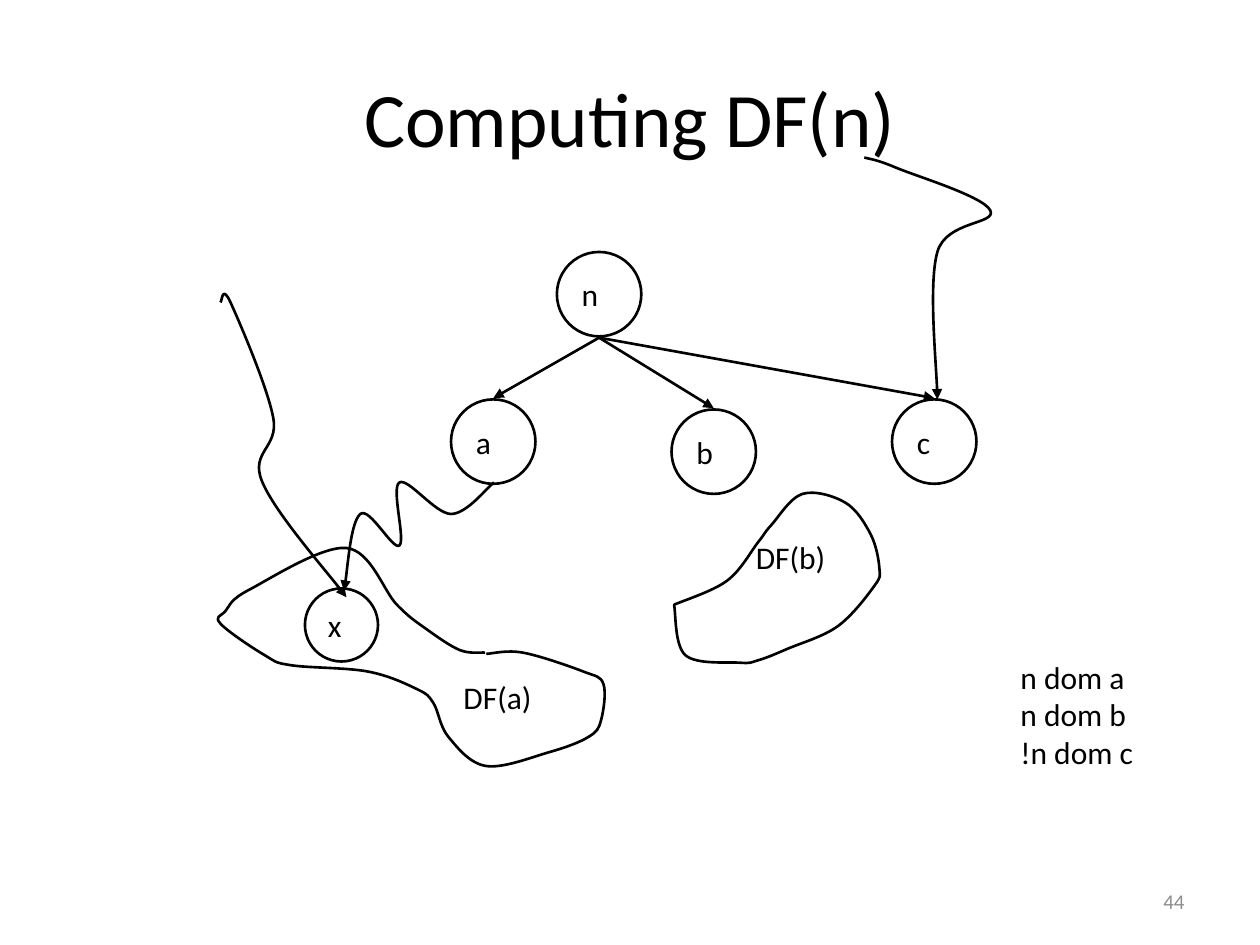
from pptx import Presentation
from pptx.dml.color import RGBColor
from pptx.enum.shapes import MSO_CONNECTOR, MSO_SHAPE
from pptx.enum.text import MSO_ANCHOR, PP_ALIGN
from pptx.oxml.ns import qn
from pptx.oxml.xmlchemy import OxmlElement
from pptx.util import Inches, Pt

OVAL = MSO_SHAPE.OVAL
STRAIGHT = MSO_CONNECTOR.STRAIGHT
MIDDLE, TOP = MSO_ANCHOR.MIDDLE, MSO_ANCHOR.TOP
LEFT, CENTER, RIGHT = PP_ALIGN.LEFT, PP_ALIGN.CENTER, PP_ALIGN.RIGHT
TITLE_ONLY = 5
FONT, BLACK, GRAY = "Calibri", "000000", "8C8C8C"
NODE_SIZE, EDGE_GAP = 0.67, 0.01


# Formats
def color(hex_string):
    return RGBColor.from_string(hex_string)


def write_text(shape, text, size=18, hex_string=BLACK, align=LEFT, anchor=MIDDLE, wrap=False):
    frame = shape.text_frame
    frame.text = text
    frame.word_wrap = wrap
    frame.vertical_anchor = anchor
    for paragraph in frame.paragraphs:
        paragraph.alignment = align
        font = paragraph.font
        font.name, font.size = FONT, Pt(size)
        font.color.rgb = color(hex_string)


def set_line(shape, arrow=False):
    shape.line.color.rgb = color(BLACK)
    shape.line.width = Pt(1.5)
    if arrow:
        tail = OxmlElement("a:tailEnd")
        tail.set("type", "triangle")
        shape.line._get_or_add_ln().append(tail)


def set_outline(shape, arrow=False):
    shape.shadow.inherit = False
    shape.fill.background()
    set_line(shape, arrow)


# Parts
def add_text(slide, left, top, width, height, text, **text_format):
    box = slide.shapes.add_textbox(*map(Inches, (left, top, width, height)))
    write_text(box, text, **text_format)


def add_node(slide, left, top, label, size=NODE_SIZE):
    node = slide.shapes.add_shape(OVAL, *map(Inches, (left, top, size, size)))
    set_outline(node)
    write_text(node, label)


def add_arrow(slide, start, end):
    arrow = slide.shapes.add_connector(STRAIGHT, *map(Inches, start + end))
    set_line(arrow, arrow=True)
    arrow.element.spPr.append(OxmlElement("a:effectLst"))


def smooth(knots):
    """Yield two handles and an end knot for each piece of a curve through the knots.

    Each handle lies a sixth of the way along the line between a knot's neighbours.
    """
    padded = [knots[0], *knots, knots[-1]]
    for before, start, end, after in zip(padded, padded[1:], padded[2:], padded[3:]):
        yield tuple(s + (e - b) / 6 for b, s, e in zip(before, start, end))
        yield tuple(e - (a - s) / 6 for s, e, a in zip(start, end, after))
        yield end


def add_curve(slide, left, top, knots, arrow=False):
    """Draw a smooth curve through knots, given in inches from left and top."""
    knots = [(Inches(left + x), Inches(top + y)) for x, y in knots]
    builder = slide.shapes.build_freeform(*knots[0])
    builder.add_line_segments(list(smooth(knots)), close=False)
    curve = builder.convert_to_shape()
    # Join every three straight pieces into one Bezier piece
    pieces = list(curve.element.iter(qn("a:lnTo")))
    for group in zip(pieces[::3], pieces[1::3], pieces[2::3]):
        bezier = OxmlElement("a:cubicBezTo")
        group[0].addprevious(bezier)
        for piece in group:
            bezier.append(piece[0])
            piece.getparent().remove(piece)
    set_outline(curve, arrow)


# Regions
def add_heading(slide, left, top, width, height):
    title = slide.shapes.title
    title.left, title.top, title.width, title.height = map(Inches, (left, top, width, height))
    write_text(title, "Computing DF(n)", size=44, align=CENTER, wrap=True)


def add_dominator_tree(slide, left, top):
    # Parent, children, then the edges between them
    parent_left, radius = left + 0.84, NODE_SIZE / 2
    add_node(slide, parent_left, top, "n")
    edge_start = (parent_left + radius, top + NODE_SIZE + EDGE_GAP)
    child_offsets = {"a": (0, 1.17), "b": (1.75, 1.25), "c": (3.5, 1.17)}
    for label, (across, down) in child_offsets.items():
        add_node(slide, left + across, top + down, label)
        add_arrow(slide, edge_start, (left + across + radius, top + down - EDGE_GAP))


def add_paths_from_elsewhere(slide, left, top):
    # Each path bends twice on its way to a node
    path_to_c = [(5.11, 0), (5.36, 0.08), (6.11, 0.42), (5.69, 0.75), (5.69, 1.92)]
    path_to_x = [(0, 1.15), (0.08, 1.15), (0.42, 2.07), (0.33, 2.57), (1, 3.49)]
    path_a_to_x = [(2.17, 2.58), (1.83, 2.83), (1.42, 2.58), (1.42, 3.08),
                   (1.11, 2.83), (0.98, 3.44)]
    for knots in (path_to_c, path_to_x, path_a_to_x):
        add_curve(slide, left, top, knots, arrow=True)


def add_frontier_a(slide, left, top):
    # Outline, counterclockwise from the middle of the upper edge
    upper_edge = [(2.1, 0.83), (1.9, 0.81), (1.63, 0.64), (1.4, 0.45), (1, 0)]
    left_end = [(0.23, 0.33), (0.04, 0.5), (0, 0.6), (0.35, 0.85)]
    lower_edge = [(0.56, 0.93), (1.17, 0.98), (1.56, 1.12), (1.69, 1.23), (1.81, 1.5)]
    right_end = [(2.11, 1.73), (2.61, 1.62), (2.92, 1.5), (3.02, 1.37), (3.04, 1.08)]
    return_edge = [(2.88, 0.98), (2.4, 0.83), (2.11, 0.84)]
    add_curve(slide, left, top, upper_edge + left_end + lower_edge + right_end + return_edge)
    add_text(slide, left + 1.83, top + 0.98, 0.75, 0.4, "DF(a)", anchor=TOP)
    add_node(slide, left + 0.67, top + 0.32, "x", size=0.58)


def add_frontier_b(slide, left, top):
    # Outline, clockwise from the left corner and back to it
    corner = [(0.02, 0.88)]
    upper_edge = [(0.44, 0.69), (0.69, 0.38), (0.79, 0.25), (1.04, 0)]
    right_end = [(1.38, 0.07), (1.58, 0.32), (1.65, 0.59), (1.61, 0.73)]
    lower_edge = [(1.32, 1.05), (0.92, 1.23), (0.69, 1.32), (0.54, 1.34), (0.11, 1.28)]
    add_curve(slide, left, top, corner + upper_edge + right_end + lower_edge + corner)
    add_text(slide, left + 0.57, top + 0.3, 0.76, 0.4, "DF(b)", anchor=TOP)


presentation = Presentation()
presentation.slide_width, presentation.slide_height = Inches(10), Inches(7.5)
slide = presentation.slides.add_slide(presentation.slide_layouts[TITLE_ONLY])
add_heading(slide, 0.5, 0.3, 9, 1.25)
add_dominator_tree(slide, 3.58, 2)
add_frontier_a(slide, 1.75, 4.35)
add_frontier_b(slide, 5.33, 3.92)
add_paths_from_elsewhere(slide, 1.75, 1.25)
add_text(slide, 8, 5.17, 1.11, 1.01, "n dom a\nn dom b\n!n dom c", anchor=TOP)
add_text(slide, 7.17, 6.95, 2.33, 0.4, "44", size=12, hex_string=GRAY, align=RIGHT, wrap=True)
presentation.save("out.pptx")
